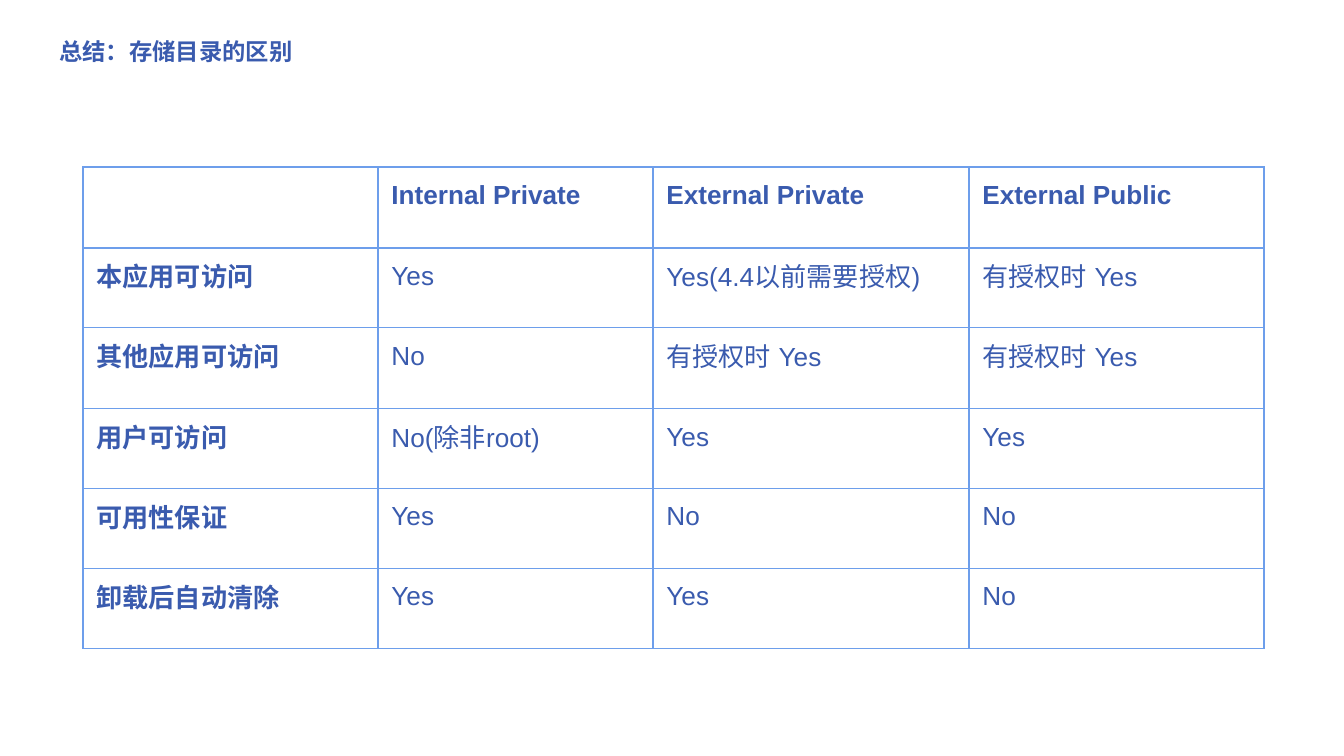
from dataclasses import dataclass

from lxml.etree import SubElement
from pptx import Presentation
from pptx.dml.color import RGBColor
from pptx.enum.text import MSO_ANCHOR, MSO_AUTO_SIZE, PP_ALIGN
from pptx.oxml.ns import qn
from pptx.util import Emu, Pt

NAVY = RGBColor(0x3A, 0x5B, 0xAE)
SKY = RGBColor(0x6D, 0x9E, 0xEB)
WHITE = RGBColor(0xFF, 0xFF, 0xFF)
LATIN, CHINESE = "Arial", "Inter"
PADDING = 13.44


def px(length: float) -> Emu:
    return Emu(round(length * 914400 / 134.4))


@dataclass
class Comparison:
    """One table row; "|" parts the spans of a cell."""
    label: str
    internal_private: str
    external_private: str
    external_public: str
    height: int
    header: bool = False

    def cells(self) -> list[str]:
        return [self.label, self.internal_private,
                self.external_private, self.external_public]


COLUMN_WIDTHS = [295, 275, 316, 295]
COMPARISONS = [
    Comparison("", "Internal Private", "External Private", "External Public", 81, True),
    Comparison("本应用可访问", "Yes", "Yes(4.4|以前需要授权|)", "有授权时 |Yes", 80),
    Comparison("其他应用可访问", "No", "有授权时 |Yes", "有授权时 |Yes", 81),
    Comparison("用户可访问", "No(|除非|root)", "Yes", "Yes", 80),
    Comparison("可用性保证", "Yes", "No", "No", 80),
    Comparison("卸载后自动清除", "Yes", "Yes", "No", 80),
]


def pad(box) -> None:
    box.margin_left = box.margin_right = px(PADDING)
    box.margin_top = box.margin_bottom = px(PADDING)


def write(para, text: str, size: float, bold: bool, chinese_font: str) -> None:
    para.alignment = PP_ALIGN.LEFT
    para.font.size = Pt(size)
    para.font.bold = bold
    para.font.color.rgb = NAVY
    for part in text.split("|"):
        span = para.add_run()
        span.text = part
        font_name = LATIN if part.isascii() else chinese_font
        span.font.name = font_name
        SubElement(span.font._element, qn("a:ea"), typeface=font_name)


def outline(cell) -> None:
    properties = cell._tc.get_or_add_tcPr()
    for position, side in enumerate(("lnL", "lnR", "lnT", "lnB")):
        line = SubElement(properties, qn(f"a:{side}"), w=str(Pt(0.75)))
        fill = SubElement(line, qn("a:solidFill"))
        SubElement(fill, qn("a:srgbClr"), val=str(SKY))
        properties.insert(position, line)


def add_title(page, text: str) -> None:
    title = page.shapes.title
    title.left, title.top, title.width, title.height = px(46), px(24), px(1252), px(85)
    frame = title.text_frame
    frame.auto_size = MSO_AUTO_SIZE.NONE
    frame.word_wrap = True
    frame.vertical_anchor = MSO_ANCHOR.TOP
    pad(frame)
    write(frame.paragraphs[0], text, 12.5, True, LATIN)


def add_comparison_table(page) -> None:
    height = sum(row.height for row in COMPARISONS)
    table = page.shapes.add_table(
        len(COMPARISONS), len(COLUMN_WIDTHS),
        px(83), px(167), px(sum(COLUMN_WIDTHS)), px(height)).table
    table.first_row = table.horz_banding = False
    for column, width in zip(table.columns, COLUMN_WIDTHS):
        column.width = px(width)
    for row, comparison in zip(table.rows, COMPARISONS):
        row.height = px(comparison.height)
        for index, (cell, text) in enumerate(zip(row.cells, comparison.cells())):
            pad(cell)
            cell.fill.solid()
            cell.fill.fore_color.rgb = WHITE
            outline(cell)
            if text:
                bold = comparison.header or index == 0
                write(cell.text_frame.paragraphs[0], text, 14, bold, CHINESE)


# Page
deck = Presentation()
deck.slide_width, deck.slide_height = px(1344), px(756)
page = deck.slides.add_slide(deck.slide_layouts[5])

# Title and table
add_title(page, "总结：存储目录的区别")
add_comparison_table(page)

deck.save("out.pptx")
